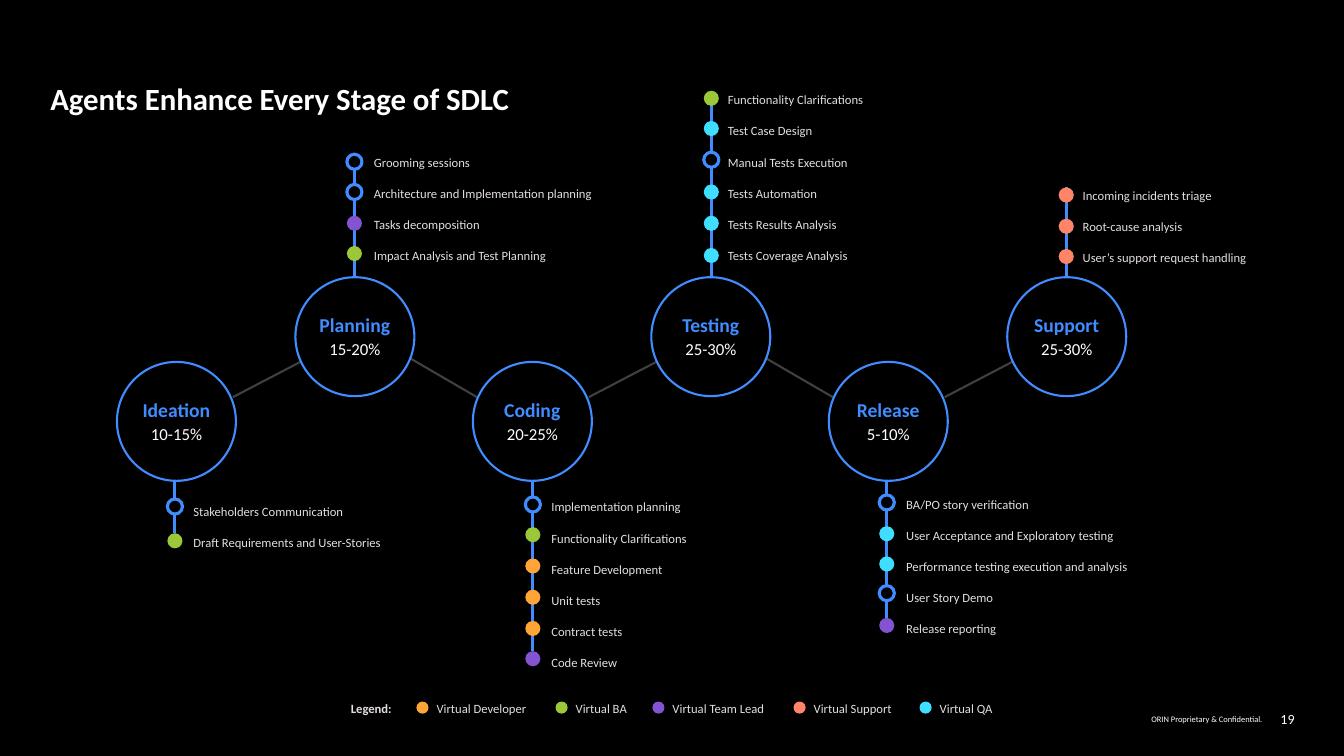
from dataclasses import dataclass

from lxml import etree
from pptx import Presentation
from pptx import util as u
from pptx.dml.color import RGBColor
from pptx.enum import shapes, text
from pptx.oxml.ns import qn

SCALE = 9144  # EMU per px, 100 px to the inch
FONT = "Calibri"
BLACK, WHITE, BLUE, GREY, PALE = "000000", "FFFFFF", "418DFF", "404040", "E5DEDE"
DEVELOPER, ANALYST, LEAD, SUPPORT, TESTER = "FFA436", "9BC838", "8353D2", "FF8468", "3FDDFF"
HUMAN = ""  # drawn as an open ring

CIRCLE, DOT, LEGEND_DOT = 118, 15, 12
HIGH, LOW = 275, 359
FIRST_LEFT, STAGE_STEP = 116, 176.6
ROW = 31


@dataclass
class Task:
    label: str
    role: str
    dot_top: int


@dataclass
class Stage:
    name: str
    share: str
    dot_left: int
    list_left: int
    list_top: int
    list_width: int
    tasks: list[Task]


@dataclass
class LegendEntry:
    label: str
    role: str
    left: int
    width: int


STAGES = [
    Stage("Ideation", "10-15%", 166, 182, 487, 241, [
        Task("Stakeholders Communication", HUMAN, 495),
        Task("Draft Requirements and User-Stories", ANALYST, 529)]),
    Stage("Planning", "15-20%", 344, 361, 141, 269, [
        Task("Grooming sessions", HUMAN, 153),
        Task("Architecture and Implementation planning", HUMAN, 183),
        Task("Tasks decomposition", LEAD, 214),
        Task("Impact Analysis and Test Planning", ANALYST, 244)]),
    Stage("Coding", "20-25%", 521, 537, 483, 168, [
        Task("Implementation planning", HUMAN, 493),
        Task("Functionality Clarifications", ANALYST, 523),
        Task("Feature Development", DEVELOPER, 554),
        Task("Unit tests", DEVELOPER, 585),
        Task("Contract tests", DEVELOPER, 616),
        Task("Code Review", LEAD, 646)]),
    Stage("Testing", "25-30%", 698, 712, 79, 168, [
        Task("Functionality Clarifications", ANALYST, 90),
        Task("Test Case Design", TESTER, 120),
        Task("Manual Tests Execution", HUMAN, 151),
        Task("Tests Automation", TESTER, 183),
        Task("Tests Results Analysis", TESTER, 214),
        Task("Tests Coverage Analysis", TESTER, 246)]),
    Stage("Release", "5-10%", 872, 889, 480, 253, [
        Task("BA/PO story verification", HUMAN, 491),
        Task("User Acceptance and Exploratory testing", TESTER, 522),
        Task("Performance testing execution and analysis", TESTER, 552),
        Task("User Story Demo", HUMAN, 581),
        Task("Release reporting", LEAD, 613)]),
    Stage("Support", "25-30%", 1050, 1064, 174, 197, [
        Task("Incoming incidents triage", SUPPORT, 186),
        Task("Root-cause analysis", SUPPORT, 217),
        Task("User’s support request handling", SUPPORT, 247)]),
]

LEGEND = [
    LegendEntry("Virtual Developer", DEVELOPER, 413, 93),
    LegendEntry("Virtual BA", ANALYST, 551, 51),
    LegendEntry("Virtual Team Lead", LEAD, 647, 96),
    LegendEntry("Virtual Support", SUPPORT, 787, 81),
    LegendEntry("Virtual QA", TESTER, 912, 55),
]


def px(length: float) -> int:
    return round(length * SCALE)


def colour(value: str) -> RGBColor:
    return RGBColor.from_string(value)


def add_text(page, lines: list[str], left: int, top: int, width: int, height: int, *,
             size: int = 9, tint: str = WHITE, bold: bool = False, wrap: bool = True,
             align=text.PP_ALIGN.LEFT, anchor=text.MSO_ANCHOR.TOP,
             inset: tuple[int, int] = (0, 0), spacing: float = 1.0, before: int = 0) -> None:
    box = page.shapes.add_textbox(px(left), px(top), px(width), px(height))
    frame = box.text_frame
    frame.word_wrap = wrap
    frame.vertical_anchor = anchor
    frame.margin_left = frame.margin_right = px(inset[0])
    frame.margin_top = frame.margin_bottom = px(inset[1])
    for index, line in enumerate(lines):
        para = frame.add_paragraph() if index else frame.paragraphs[0]
        para.alignment = align
        para.line_spacing = spacing
        if index:
            para.space_before = u.Pt(before)
        span = para.add_run()
        span.text = line
        span.font.name = FONT
        span.font.size = u.Pt(size)
        span.font.bold = bold
        span.font.color.rgb = colour(tint)


def add_circle(page, left: int, top: int, size: int, *, fill: str = "",
               line: str = "", weight: float = 1.5) -> None:
    circle = page.shapes.add_shape(shapes.MSO_SHAPE.OVAL, px(left), px(top), px(size), px(size))
    circle.shadow.inherit = False
    if fill:
        circle.fill.solid()
        circle.fill.fore_color.rgb = colour(fill)
    else:
        circle.fill.background()
    if line:
        circle.line.color.rgb = colour(line)
        circle.line.width = u.Pt(weight)
    else:
        circle.line.fill.background()


def add_line(page, start: tuple[float, float], end: tuple[float, float], tint: str,
             weight: float) -> None:
    line = page.shapes.add_connector(shapes.MSO_CONNECTOR.STRAIGHT,
                                     *(px(value) for value in start + end))
    line.line.color.rgb = colour(tint)
    line.line.width = u.Pt(weight)
    etree.SubElement(line._element.spPr, qn("a:effectLst"))


def stage_left(index: int) -> int:
    return round(FIRST_LEFT + STAGE_STEP * index)


def draw_stage(page, stage: Stage, index: int) -> None:
    left, high = stage_left(index), index % 2 == 1
    top = HIGH if high else LOW

    # Stem with its task dots
    stem = stage.dot_left + DOT / 2
    near, far = (HIGH, stage.tasks[0]) if high else (LOW + CIRCLE, stage.tasks[-1])
    add_line(page, (stem, far.dot_top), (stem, near), BLUE, 2.25)
    for task in stage.tasks:
        ring = "" if task.role else BLUE
        add_circle(page, stage.dot_left, task.dot_top, DOT,
                   fill=task.role or BLACK, line=ring, weight=2.25)
    add_text(page, [task.label for task in stage.tasks], stage.list_left, stage.list_top,
             stage.list_width, ROW * len(stage.tasks), tint=PALE, inset=(10, 5),
             spacing=1.5, before=6)

    # Stage circle with name and share
    add_circle(page, left, top, CIRCLE, line=BLUE)
    centre = text.PP_ALIGN.CENTER
    add_text(page, [stage.name], left + 14, top + 35, 90, 24, size=14, tint=BLUE, bold=True,
             align=centre, anchor=text.MSO_ANCHOR.BOTTOM)
    add_text(page, [stage.share], left + 28, top + 61, 62, 20, size=12, align=centre)


def draw_links(page) -> None:
    for index in range(len(STAGES) - 1):
        left, following = stage_left(index), stage_left(index + 1)
        if index % 2:
            add_line(page, (left + 113, 355), (following + 4, 394), GREY, 1.5)
        else:
            add_line(page, (left + 115, 394), (following + 5, 359), GREY, 1.5)


def draw_legend(page) -> None:
    add_text(page, ["Legend:"], 348, 695, 41, 15, tint=PALE, bold=True, wrap=False)
    for entry in LEGEND:
        add_circle(page, entry.left, 696, LEGEND_DOT, fill=entry.role)
        add_text(page, [entry.label], entry.left + 20, 695, entry.width, 15, tint=PALE, wrap=False)


def main() -> None:
    deck = Presentation()
    deck.slide_width, deck.slide_height = u.Inches(13.33), u.Inches(7.5)
    page = deck.slides.add_slide(deck.slide_layouts[6])
    page.background.fill.solid()
    page.background.fill.fore_color.rgb = colour(BLACK)

    # Title and footer
    add_text(page, ["Agents Enhance Every Stage of SDLC"], 50, 79, 1233, 50, size=22, bold=True)
    footer = {"align": text.PP_ALIGN.RIGHT, "anchor": text.MSO_ANCHOR.MIDDLE}
    add_text(page, ["ORIN Proprietary & Confidential."], 1099, 701, 153, 24, size=6, **footer)
    add_text(page, ["19"], 1257, 701, 27, 24, size=10, **footer)

    # Stages, the links between them, and the legend
    draw_links(page)
    for index, stage in enumerate(STAGES):
        draw_stage(page, stage, index)
    draw_legend(page)
    deck.save("out.pptx")


if __name__ == "__main__":
    main()
